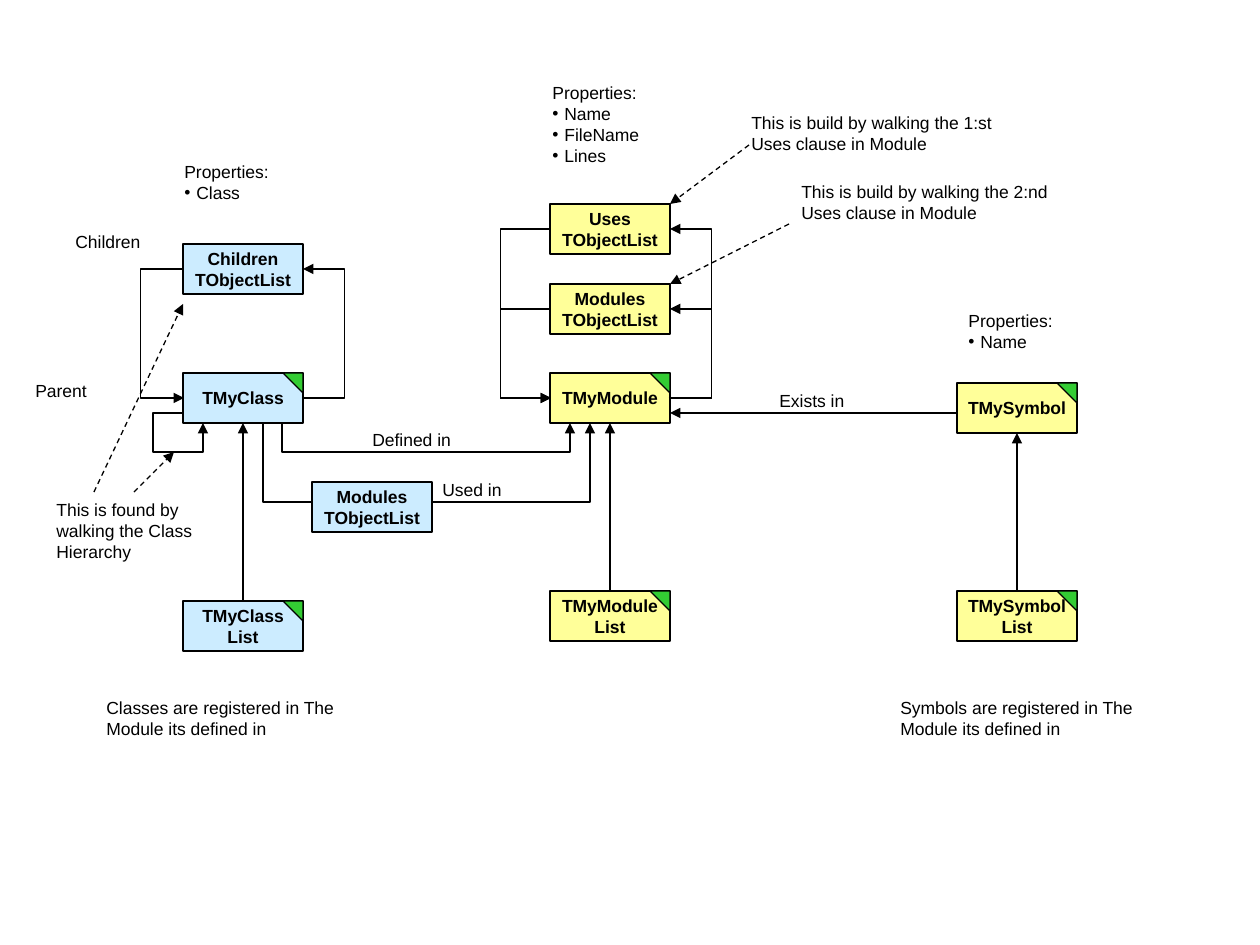
"""Build a diagram of class, module and symbol objects and their lists."""
from pptx import Presentation
from pptx.dml.color import RGBColor
from pptx.enum.dml import MSO_LINE
from pptx.enum.shapes import MSO_CONNECTOR, MSO_SHAPE
from pptx.enum.text import MSO_ANCHOR, PP_ALIGN
from pptx.oxml.ns import qn
from pptx.util import Pt
from lxml.etree import SubElement

PX = 914400 / 126
COLORS = {"class": "CCECFF", "module": "FFFF99", "corner": "33CC33", "ink": "000000"}
FONT, FONT_SIZE, LINE_WIDTH = "Arial", Pt(10), Pt(0.75)
BOX_WIDTH, BOX_HEIGHT, CORNER, BULLET_INDENT = 120, 50, 20, 12
LINE_HEIGHT, PADDING = 21, 13
CLASS_X, MODULE_X, SYMBOL_X = 183, 550, 957

BOXES = [
    ("TMyClass", CLASS_X, 373, "class", True),
    ("TMyModule", MODULE_X, 373, "module", True),
    ("TMyClass\vList", CLASS_X, 601, "class", True),
    ("TMyModule\vList", MODULE_X, 591, "module", True),
    ("TMySymbol", SYMBOL_X, 383, "module", True),
    ("TMySymbol\vList", SYMBOL_X, 591, "module", True),
    ("Uses\vTObjectList", MODULE_X, 204, "module", False),
    ("Modules\vTObjectList", MODULE_X, 284, "module", False),
    ("Children\vTObjectList", CLASS_X, 244, "class", False),
    ("Modules\vTObjectList", 312, 482, "class", False),
]
PROPERTIES = [
    (["Name", "FileName", "Lines"], 540, 76),
    (["Name"], 956, 304),
    (["Class"], 172, 155),
]
LABELS = [
    ("Exists in", 767, 384, 113, 1),
    ("Parent", 23, 374, 100, 1),
    ("Defined in", 360, 423, 127, 1),
    ("Used in", 430, 473, 107, 1),
    ("Children", 63, 225, 113, 1),
    ("This is build by walking the 1:st Uses clause in Module", 739, 106, 288, 2),
    ("This is build by walking the 2:nd Uses clause in Module", 789, 175, 288, 2),
    ("Symbols are registered in The Module its defined in", 888, 691, 287, 2),
    ("Classes are registered in The Module its defined in", 94, 691, 287, 2),
    ("This is found by walking the Class Hierarchy", 44, 493, 198, 3),
]
ARROWS = [
    ((243, 601), (243, 423)),
    ((610, 591), (610, 423)),
    ((1017, 591), (1017, 433)),
    ((957, 413), (670, 413)),
]
NOTE_ARROWS = [
    ((749, 145), (670, 204)),
    ((789, 224), (670, 284)),
    ((134, 492), (174, 452)),
    ((94, 492), (183, 304)),
]
LOOPS = [
    ((669, 398), (670, 309), 712),
    ((669, 398), (670, 229), 712),
    ((550, 309), (551, 398), 500),
    ((550, 229), (551, 398), 500),
    ((302, 398), (303, 269), 345),
    ((183, 269), (184, 398), 140),
]
ROUTES = [
    [(282, 423), (282, 452), (570, 452), (570, 423)],
    [(263, 423), (263, 502), (590, 502), (590, 423)],
    [(183, 413), (153, 413), (153, 452), (203, 452), (203, 423)],
]


def px(*lengths):
    return [round(length * PX) for length in lengths]


def color(name):
    return RGBColor.from_string(COLORS[name])


def style_text(frame, bold=False):
    for paragraph in frame.paragraphs:
        for run in paragraph.runs:
            run.font.name, run.font.size, run.font.bold = FONT, FONT_SIZE, bold
            run.font.color.rgb = color("ink")


def style_line(line):
    line.color.rgb = color("ink")
    line.width = LINE_WIDTH


def add_arrowhead(arrow):
    style_line(arrow.line)
    SubElement(arrow.line._get_or_add_ln(), qn("a:tailEnd"), type="triangle")


def add_filled(shapes, kind, bounds, fill):
    shape = shapes.add_shape(kind, *px(*bounds))
    shape.shadow.inherit = False
    shape.fill.solid()
    shape.fill.fore_color.rgb = color(fill)
    style_line(shape.line)
    return shape


def add_box(shapes, title, x, y, fill, has_corner):
    box = add_filled(shapes, MSO_SHAPE.RECTANGLE, (x, y, BOX_WIDTH, BOX_HEIGHT), fill)
    frame = box.text_frame
    frame.text = title
    frame.word_wrap = False
    frame.vertical_anchor = MSO_ANCHOR.MIDDLE
    frame.paragraphs[0].alignment = PP_ALIGN.CENTER
    style_text(frame, bold=True)
    if has_corner:
        bounds = (x + BOX_WIDTH - CORNER, y, CORNER, CORNER)
        add_filled(shapes, MSO_SHAPE.RIGHT_TRIANGLE, bounds, "corner").rotation = 180


def add_label(shapes, text, x, y, width, lines):
    label = shapes.add_textbox(*px(x, y, width, lines * LINE_HEIGHT + PADDING))
    frame = label.text_frame
    frame.word_wrap = True
    frame.text = text
    style_text(frame)
    return frame


def add_properties(shapes, names, x, y):
    text = "\n".join(["Properties:", *names])
    frame = add_label(shapes, text, x, y, 132, len(names) + 1)
    indent = px(BULLET_INDENT)[0]
    for paragraph in frame.paragraphs[1:]:
        properties = paragraph._p.get_or_add_pPr()
        properties.set("marL", str(indent))
        properties.set("indent", str(-indent))
        SubElement(properties, qn("a:buFont"), typeface=FONT)
        SubElement(properties, qn("a:buChar"), char="•")


def add_arrow(shapes, start, end, kind=MSO_CONNECTOR.STRAIGHT, dashed=False):
    arrow = shapes.add_connector(kind, *px(*start, *end))
    add_arrowhead(arrow)
    if dashed:
        arrow.line.dash_style = MSO_LINE.DASH
    SubElement(arrow._element.spPr, qn("a:effectLst"))
    return arrow


def add_loop(shapes, start, end, turn_x):
    loop = add_arrow(shapes, start, end, MSO_CONNECTOR.ELBOW)
    turn = round((turn_x - start[0]) / (end[0] - start[0]) * 100000)
    guides = loop._element.spPr.find(qn("a:prstGeom")).get_or_add_avLst()
    SubElement(guides, qn("a:gd"), name="adj1", fmla=f"val {turn}")


def add_route(shapes, points):
    builder = shapes.build_freeform(*points[0], scale=PX)
    builder.add_line_segments(points[1:], close=False)
    route = builder.convert_to_shape()
    route.fill.background()
    route.shadow.inherit = False
    add_arrowhead(route)


def main():
    presentation = Presentation()
    presentation.slide_width, presentation.slide_height = px(1260, 945)
    shapes = presentation.slides.add_slide(presentation.slide_layouts[6]).shapes
    for points in ROUTES:
        add_route(shapes, points)
    for box in BOXES:
        add_box(shapes, *box)
    for properties in PROPERTIES:
        add_properties(shapes, *properties)
    for label in LABELS:
        add_label(shapes, *label)
    for ends in ARROWS:
        add_arrow(shapes, *ends)
    for ends in NOTE_ARROWS:
        add_arrow(shapes, *ends, dashed=True)
    for loop in LOOPS:
        add_loop(shapes, *loop)
    presentation.save("out.pptx")


if __name__ == "__main__":
    main()
